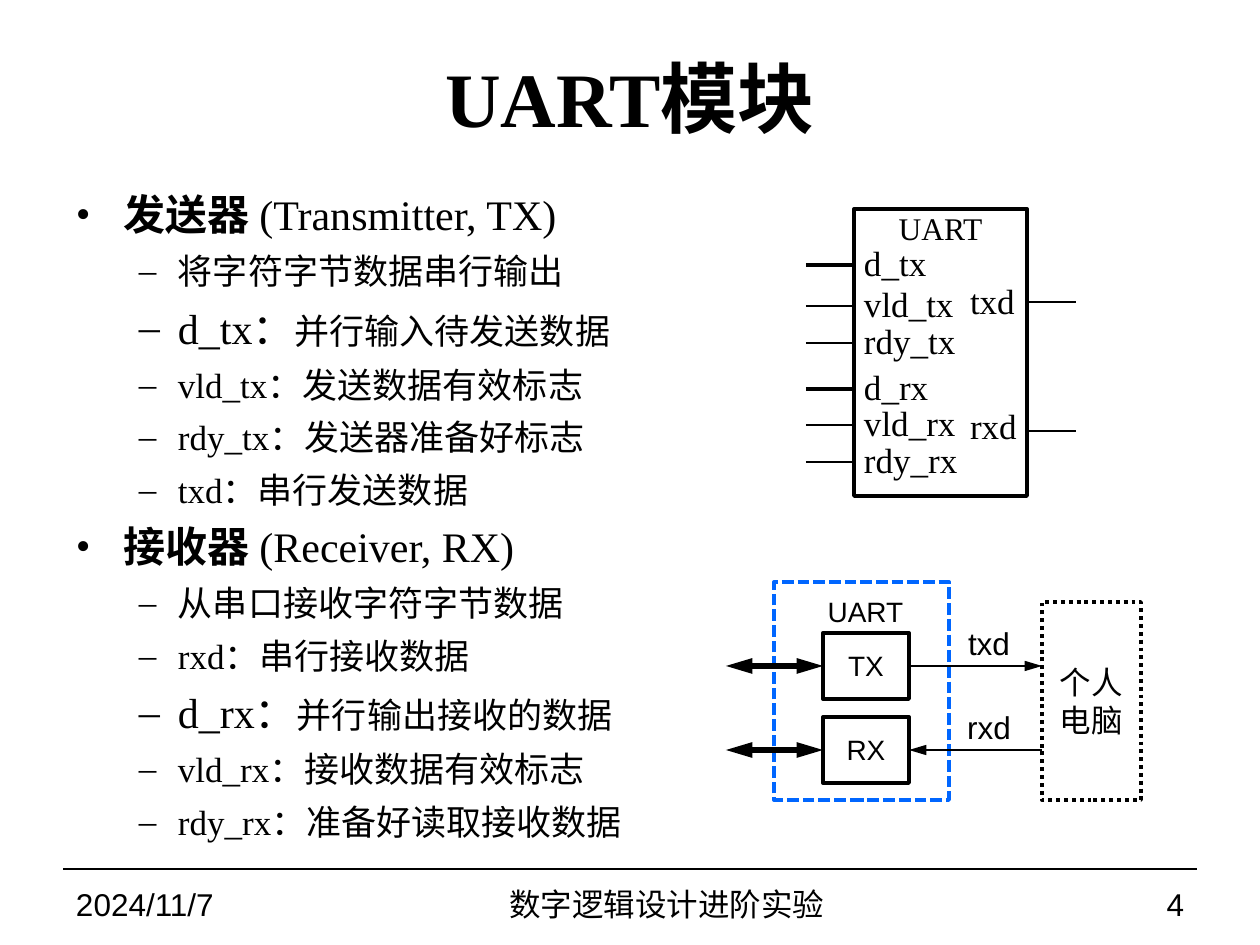
from lxml.etree import SubElement
from pptx import Presentation
from pptx.dml.color import RGBColor
from pptx.enum.dml import MSO_LINE_DASH_STYLE as Dash
from pptx.enum.shapes import MSO_CONNECTOR as Connector, MSO_SHAPE as Shape
from pptx.enum.text import MSO_ANCHOR as Anchor, PP_ALIGN as Align
from pptx.oxml.ns import qn
from pptx.util import Emu, Pt

EMU_PER_PX = 914400 / 126
BLACK, BLUE = "000000", "0066FF"
SERIF, SANS = "Times New Roman", "Arial"
TOP, LEFT, RIGHT = 0, 1, 3

BULLETS = [
    (0, [("发送器 ", 24, True), ("(Transmitter, TX)", 24, False)]),
    (1, [("将字符字节数据串行输出", 20, False)]),
    (1, [("d_tx：", 24, False), ("并行输入待发送数据", 20, False)]),
    (1, [("vld_tx：发送数据有效标志", 20, False)]),
    (1, [("rdy_tx：发送器准备好标志", 20, False)]),
    (1, [("txd：串行发送数据", 20, False)]),
    (0, [("接收器 ", 24, True), ("(Receiver, RX)", 24, False)]),
    (1, [("从串口接收字符字节数据", 20, False)]),
    (1, [("rxd：串行接收数据", 20, False)]),
    (1, [("d_rx：", 24, False), ("并行输出接收的数据", 20, False)]),
    (1, [("vld_rx：接收数据有效标志", 20, False)]),
    (1, [("rdy_rx：准备好读取接收数据", 20, False)]),
]
BULLET_LEVELS = [("•", 48, -48), ("–", 102, -39)]
LEFT_PINS = [("d_tx", 265, 2.25), ("vld_tx", 306, 1.5), ("rdy_tx", 343, 1.5),
             ("d_rx", 389, 2.25), ("vld_rx", 425, 1.5), ("rdy_rx", 462, 1.5)]
RIGHT_PINS = [("txd", 302, 300), ("rxd", 431, 425)]


def px(length):
    """Turn pixels into EMU."""
    return Emu(round(length * EMU_PER_PX))


def color(value):
    """Turn a hex string into a colour."""
    return RGBColor.from_string(value)


def apply(target, values):
    """Set each attribute named in a dict."""
    for name, value in values.items():
        setattr(target, name, value)


def add_span(para, text, size, font=SANS, bold=False):
    """Add one formatted run to a paragraph."""
    span = para.add_run()
    span.text = text
    apply(span.font, {"size": Pt(size), "name": font, "bold": bold})
    span.font.color.rgb = color(BLACK)


def set_frame(frame, insets, anchor, wrap=True):
    """Set the insets, anchor and wrapping of a text frame."""
    left, top, right, bottom = map(px, insets)
    apply(frame, {"margin_left": left, "margin_top": top, "margin_right": right,
                  "margin_bottom": bottom, "vertical_anchor": anchor, "word_wrap": wrap})


def add_label(page, at, text, size, font=SANS, align=Align.LEFT, bold=False,
              insets=(0, 0, 0, 0)):
    """Add a one-line text box centred vertically in its area."""
    frame = page.shapes.add_textbox(*map(px, at)).text_frame
    set_frame(frame, insets, Anchor.MIDDLE)
    para = frame.paragraphs[0]
    para.alignment = align
    add_span(para, text, size, font, bold)


def add_block(page, at, lines, size, font=SANS, stroke=BLACK, dash=None,
              anchor=Anchor.MIDDLE, insets=(0, 0, 0, 0), spacing=None):
    """Add an unfilled outlined rectangle with centred text."""
    block = page.shapes.add_shape(Shape.RECTANGLE, *map(px, at))
    block.shadow.inherit = False
    block.fill.background()
    block.line.color.rgb = color(stroke)
    apply(block.line, {"width": Pt(2.25), "dash_style": dash})
    frame = block.text_frame
    set_frame(frame, insets, anchor)
    for index, text in enumerate(lines):
        para = frame.add_paragraph() if index else frame.paragraphs[0]
        apply(para, {"alignment": Align.CENTER, "line_spacing": spacing})
        add_span(para, text, size, font)
    return block


def add_wire(page, start, end, width, heads=()):
    """Add a straight line with arrowheads at the named ends."""
    wire = page.shapes.add_connector(Connector.STRAIGHT, *map(px, start + end))
    wire.line.color.rgb = color(BLACK)
    wire.line.width = Pt(width)
    outline = wire.line._get_or_add_ln()
    for head in heads:
        SubElement(outline, qn(f"a:{head}"), type="triangle", w="med", len="lg")
    SubElement(wire._element.spPr, qn("a:effectLst"))
    return wire


def add_bullets(page, at):
    """Add the two-level list of transmitter and receiver signals."""
    frame = page.shapes.add_textbox(*map(px, at)).text_frame
    set_frame(frame, (13, 6, 13, 6), Anchor.TOP)
    for index, (level, spans) in enumerate(BULLETS):
        para = frame.add_paragraph() if index else frame.paragraphs[0]
        mark, margin, indent = BULLET_LEVELS[level]
        apply(para, {"level": level, "space_after": Pt(6)})
        props = para._p.get_or_add_pPr()
        props.set("marL", str(px(margin)))
        props.set("indent", str(px(indent)))
        SubElement(props, qn("a:buFont"), typeface=SERIF)
        SubElement(props, qn("a:buChar"), char=mark)
        for text, size, bold in spans:
            add_span(para, text, size, SERIF, bold)


def add_pinout(page):
    """Draw the UART symbol with its pins."""
    add_block(page, (854, 209, 173, 287), ["UART"], 18, SERIF, anchor=Anchor.TOP)
    for name, y, width in LEFT_PINS:
        add_wire(page, (806, y), (854, y), width)
        add_label(page, (864, y - 24, 104, 43), name, 20, SERIF)
    for name, y, middle in RIGHT_PINS:
        add_wire(page, (1027, y), (1076, y), 1.5)
        add_label(page, (970, middle - 22, 56, 44), name, 20, SERIF)


def add_link_diagram(page):
    """Draw the UART linked to the computer."""
    add_block(page, (774, 582, 175, 218), ["UART"], 16, stroke=BLUE, dash=Dash.SQUARE_DOT,
              anchor=Anchor.TOP, insets=(8, 15, 0, 0), spacing=Pt(18))
    add_block(page, (1042, 602, 99, 198), ["个人", "电脑"], 18, dash=Dash.ROUND_DOT)
    for name, signal, y, head in [("TX", "txd", 666, "tailEnd"), ("RX", "rxd", 750, "headEnd")]:
        unit = add_block(page, (823, y - 33, 86, 66), [name], 16, spacing=Pt(18))
        bus = add_wire(page, (726, y), (823, y), 3, ("headEnd", "tailEnd"))
        bus.end_connect(unit, LEFT)
        link = add_wire(page, (909, y), (1042, y), 1.5, (head,))
        link.begin_connect(unit, RIGHT)
        add_label(page, (955, y - 42, 68, 38), signal, 18, align=Align.CENTER)


def add_footer(page):
    """Add the rule, date, course name and page number."""
    add_wire(page, (63, 869), (1197, 869), 0.75)
    for left, width, text, align in [(63, 294, "2024/11/7", Align.LEFT),
                                     (357, 620, "数字逻辑设计进阶实验", Align.CENTER),
                                     (977, 220, "4", Align.RIGHT)]:
        add_label(page, (left, 880, width, 47), text, 18, align=align, insets=(13, 6, 13, 6))


def main():
    """Build and save the slide."""
    deck = Presentation()
    apply(deck, {"slide_width": px(1260), "slide_height": px(945)})
    page = deck.slides.add_slide(deck.slide_layouts[6])
    add_label(page, (63, 38, 1134, 117), "UART模块", 44, SERIF, Align.CENTER, True)
    add_bullets(page, (63, 183, 606, 682))
    add_pinout(page)
    add_link_diagram(page)
    add_footer(page)
    deck.save("out.pptx")


if __name__ == "__main__":
    main()
